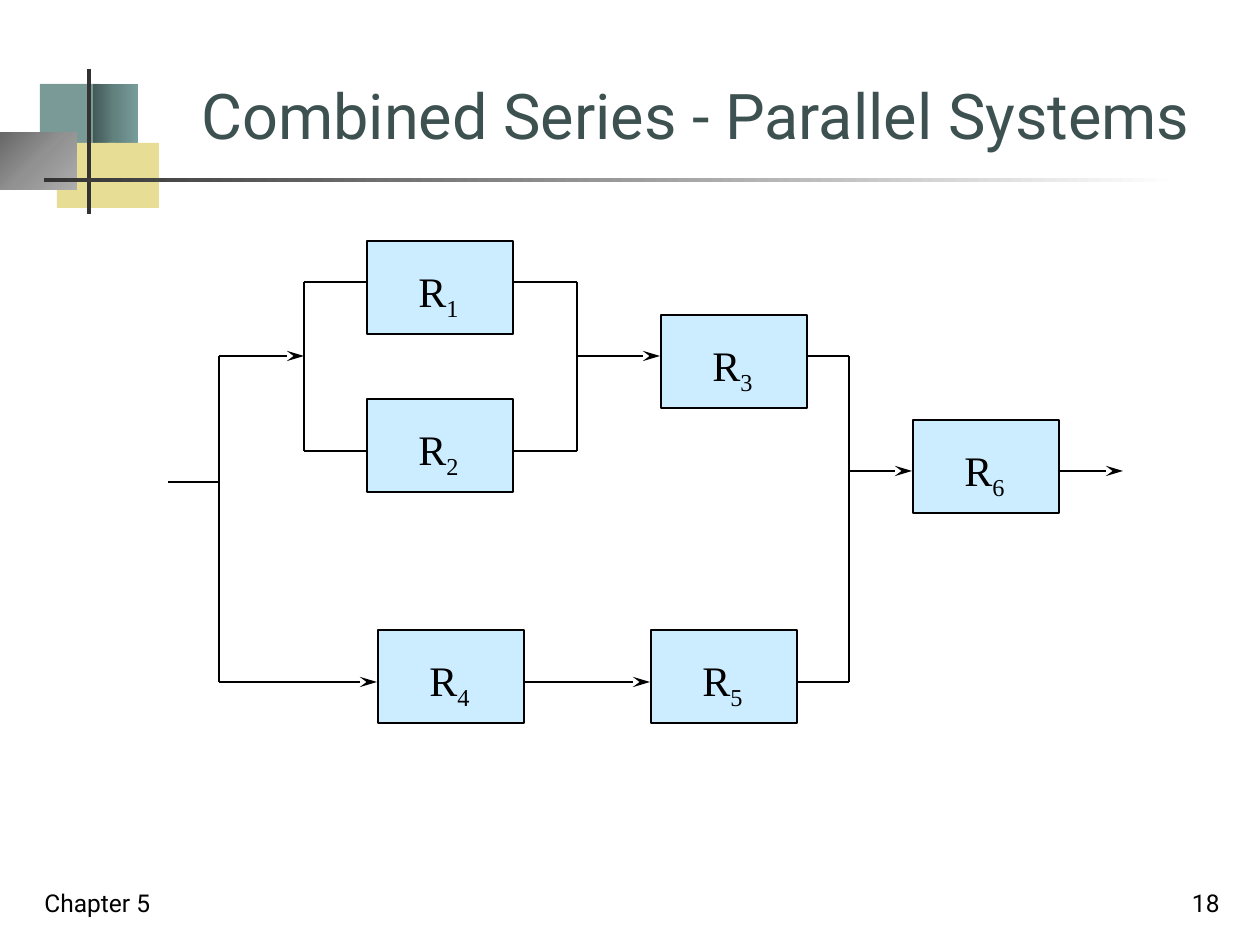
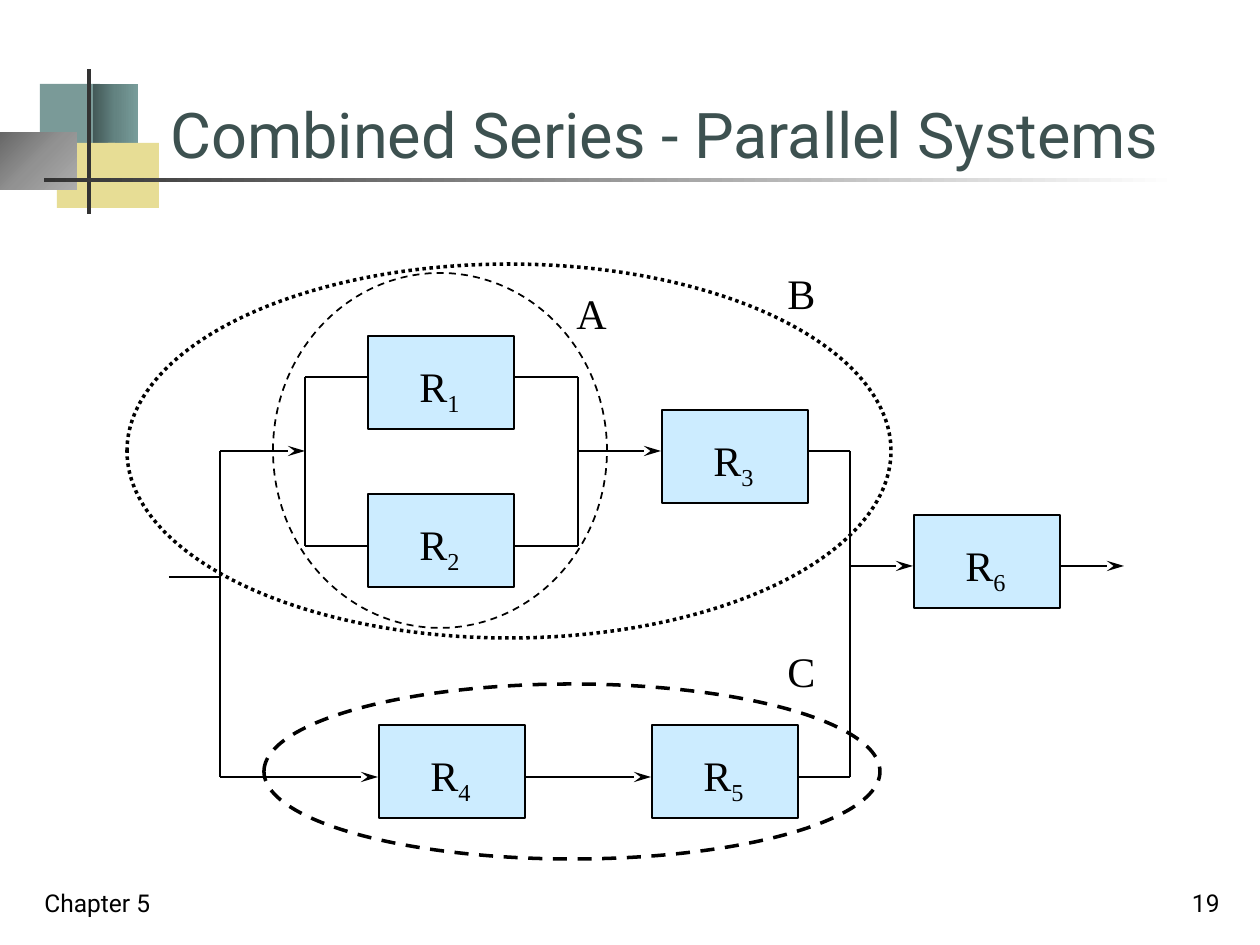
from lxml.etree import SubElement
from pptx import Presentation
from pptx.dml.color import RGBColor
from pptx.enum.dml import MSO_LINE
from pptx.enum.shapes import MSO_CONNECTOR, MSO_SHAPE
from pptx.enum.text import MSO_ANCHOR, MSO_AUTO_SIZE, PP_ALIGN
from pptx.oxml.ns import qn
from pptx.util import Pt

TITLE = "Combined Series - Parallel Systems"
FOOTER = "Chapter 5"
SLIDES = [
    {"number": "18", "title": (189, 42, 1029, 116), "shift": (0, 0), "zones": False},
    {"number": "19", "title": (158, 42, 1038, 135), "shift": (1, 95), "zones": True},
]
COLORS = {"teal": "7A9A98", "sand": "E7DD95", "dark": "333333", "title": "3D5150",
          "ink": "000000", "block": "CCECFF"}
FADES = {
    "sea": ("lin", [(0, "435958"), (50, "638381"), (100, "789C9A")]),
    "steel": ("path", [(0, "676767"), (50, "929292"), (100, "ADADAD")]),
    "rule": ("lin", [(0, "333333"), (100, "FFFFFF")]),
}
BANDS = [
    ("teal", (40, 84, 60, 66)),
    ("sea", (93, 84, 45, 66)),
    ("sand", (57, 143, 58, 65)),
    ("sand", (108, 143, 51, 65)),
    ("steel", (0, 132, 77, 58)),
    ("dark", (87, 69, 4, 145)),
    ("rule", (44, 178, 1134, 4)),
]

BLOCK = (146, 93)
BLOCKS = {"1": (367, 241), "2": (367, 399), "3": (661, 315),
          "4": (378, 630), "5": (651, 630), "6": (913, 420)}
SPLIT, FORK, JOIN, MERGE = 219, 304, 577, 849
UPPER, HIGH, LOW, LOWER, EXIT, ENTRY = 356, 282, 451, 682, 471, 482
RAILS = [(SPLIT, UPPER, LOWER), (FORK, HIGH, LOW),
         (JOIN, HIGH, LOW), (MERGE, UPPER, LOWER)]
WIRES = [
    (168, SPLIT, ENTRY), (FORK, 367, HIGH), (FORK, 367, LOW),
    (514, JOIN, HIGH), (514, JOIN, LOW), (807, MERGE, UPPER), (797, MERGE, LOWER),
]
ARROWS = [
    (SPLIT, FORK, UPPER), (SPLIT, 377, LOWER), (JOIN, 660, UPPER),
    (524, 650, LOWER), (MERGE, 912, EXIT), (1060, 1123, EXIT),
]
ZONES = [
    ("A", (564, 281), (273, 273, 334, 355), 1, MSO_LINE.DASH),
    ("B", (775, 261), (127, 264, 764, 374), 2, MSO_LINE.ROUND_DOT),
    ("C", (775, 639), (264, 684, 616, 175), 2, MSO_LINE.DASH),
]

HEAD = {"size": Pt(36), "name": "Roboto"}
FOOT = {"size": Pt(14), "name": "Roboto"}
LABEL = {"size": Pt(24), "name": "Times New Roman"}
WRAP = {"word_wrap": True, "vertical_anchor": MSO_ANCHOR.BOTTOM}
GROW = {"word_wrap": False, "auto_size": MSO_AUTO_SIZE.SHAPE_TO_FIT_TEXT}


def emu(*nums):
    return [round(n * 914400 / 126) for n in nums]


def color(name):
    return RGBColor.from_string(COLORS[name])


def apply(target, style):
    for key, value in style.items():
        setattr(target, key, value)


def add_fade(shape, name):
    kind, stops = FADES[name]
    props = shape.fill._xPr
    grad = SubElement(props, qn("a:gradFill"), rotWithShape="1")
    props.insert(2, grad)
    group = SubElement(grad, qn("a:gsLst"))
    for pos, tint in stops:
        stop = SubElement(group, qn("a:gs"), pos=str(pos * 1000))
        SubElement(stop, qn("a:srgbClr"), val=tint)
    if kind == "lin":
        SubElement(grad, qn("a:lin"), ang="0", scaled="1")
    else:
        ring = SubElement(grad, qn("a:path"), path="circle")
        SubElement(ring, qn("a:fillToRect"), r="100000", b="100000")


def add_form(slide, kind, box, fill=None, width=0, dash=None):
    shape = slide.shapes.add_shape(kind, *emu(*box))
    shape.shadow.inherit = False
    if fill in FADES:
        add_fade(shape, fill)
    elif fill:
        shape.fill.solid()
        shape.fill.fore_color.rgb = color(fill)
    else:
        shape.fill.background()
    if width:
        shape.line.color.rgb = color("ink")
        apply(shape.line, {"width": Pt(width), "dash_style": dash})
    else:
        shape.line.fill.background()


def add_text(slide, box, text, font, frame, tint="ink", align=PP_ALIGN.LEFT, sub=""):
    body = slide.shapes.add_textbox(*emu(*box)).text_frame
    apply(body, frame)
    para = body.paragraphs[0]
    para.alignment = align
    for part in filter(None, (text, sub)):
        run = para.add_run()
        run.text = part
        apply(run.font, font)
        run.font.color.rgb = color(tint)
    if sub:
        run.font._rPr.set("baseline", "-25000")


def add_wire(slide, ends, shift, arrow=False):
    points = [n + shift[i % 2] for i, n in enumerate(ends)]
    wire = slide.shapes.add_connector(MSO_CONNECTOR.STRAIGHT, *emu(*points))
    wire.line.color.rgb = color("ink")
    wire.line.width = Pt(1)
    if arrow:
        SubElement(wire.line._ln, qn("a:tailEnd"), type="stealth", w="med", len="lg")
    SubElement(wire._element.spPr, qn("a:effectLst"))


def add_frame(slide, data):
    for fill, box in BANDS:
        add_form(slide, MSO_SHAPE.RECTANGLE, box, fill)
    add_text(slide, data["title"], TITLE, HEAD, WRAP, "title")
    add_text(slide, (32, 861, 262, 63), FOOTER, FOOT, WRAP)
    add_text(slide, (970, 861, 262, 63), data["number"], FOOT, WRAP, align=PP_ALIGN.RIGHT)


def add_system(slide, shift):
    for sub, (x, y) in BLOCKS.items():
        x, y = x + shift[0], y + shift[1]
        add_form(slide, MSO_SHAPE.RECTANGLE, (x, y, *BLOCK), "block", 1)
        add_text(slide, (x + 39, y + 18, 67, 63), "R", LABEL, GROW, sub=sub)
    for x, top, end in RAILS:
        add_wire(slide, (x, top, x, end), shift)
    for group, arrow in ((WIRES, False), (ARROWS, True)):
        for start, end, y in group:
            add_wire(slide, (start, y, end, y), shift, arrow)


def add_zones(slide):
    for name, spot, box, width, dash in ZONES:
        add_form(slide, MSO_SHAPE.OVAL, box, None, width, dash)
        add_text(slide, (*spot, 55, 63), name, LABEL, GROW)


def main():
    deck = Presentation()
    deck.slide_width, deck.slide_height = emu(1260, 945)
    for data in SLIDES:
        slide = deck.slides.add_slide(deck.slide_layouts[6])
        add_frame(slide, data)
        add_system(slide, data["shift"])
        if data["zones"]:
            add_zones(slide)
    deck.save("out.pptx")


if __name__ == "__main__":
    main()
